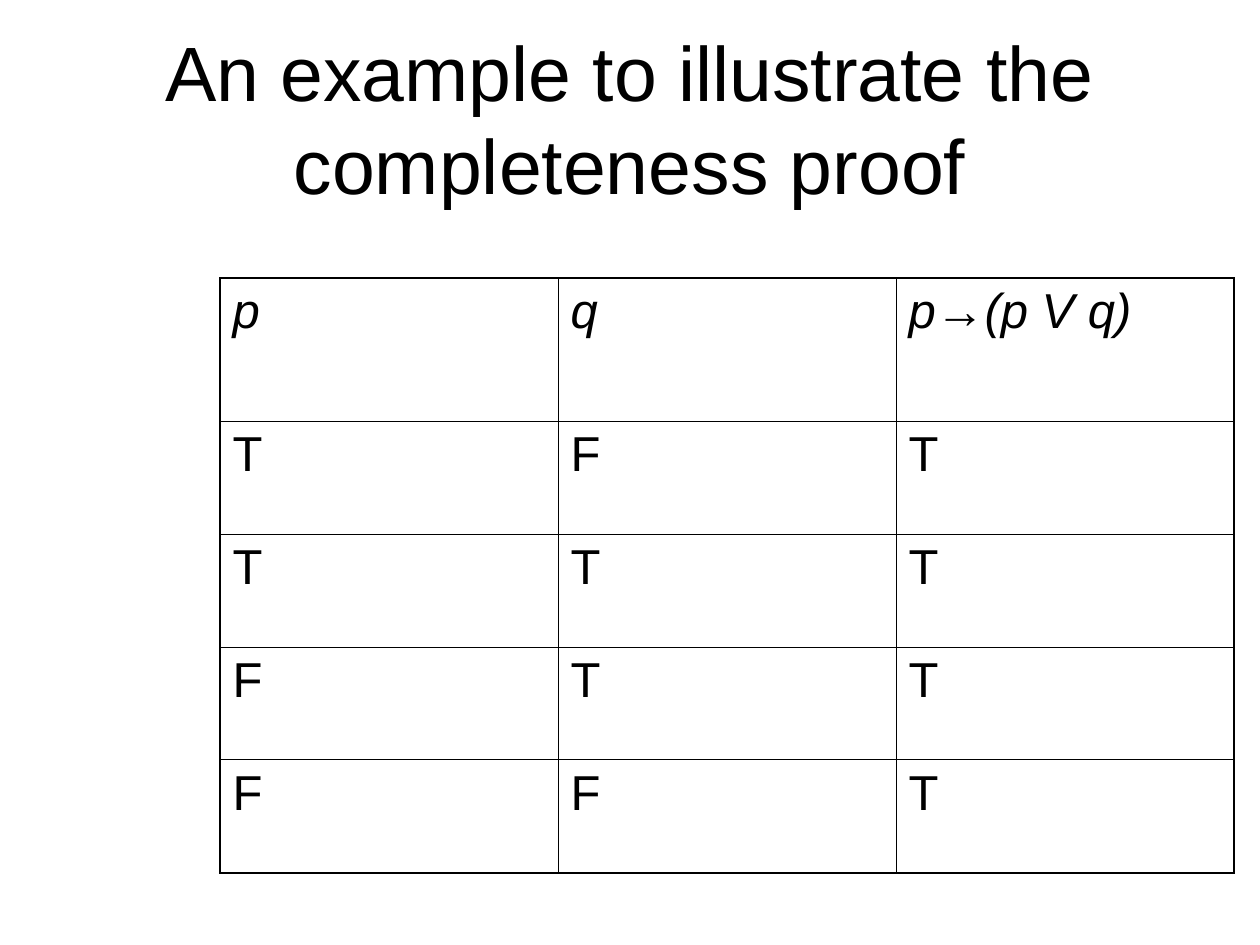
from pptx import Presentation
from pptx.dml.color import RGBColor
from pptx.enum.text import MSO_ANCHOR, PP_ALIGN
from pptx.oxml.ns import qn
from pptx.util import Emu, Pt
from lxml.etree import SubElement

# Content
TITLE = "An example to illustrate the completeness proof"
TRUTH_TABLE = [
    ("p", "q", "p→(p V q)"),
    ("T", "F", "T"),
    ("T", "T", "T"),
    ("F", "T", "T"),
    ("F", "F", "T"),
]

# Style and layout, in px
FONT = "Arial"
BLACK = RGBColor(0, 0, 0)
OUTER, INNER = Pt(1.08), Pt(0.45)
WIDTH, HEIGHT = 1260, 945
TITLE_BOX = (63, 38, 1134, 158)
TABLE_LEFT, TABLE_TOP = 220, 278
COL_W, HEAD_H, ROW_H = 338, 143, 113


def px(n):
    return Emu(round(n * 914400 / 126))


def add_run(p, text, size, italic=False):
    r = p.add_run()
    r.text = text
    r.font.name = FONT
    r.font.size = Pt(size)
    r.font.italic = italic
    r.font.color.rgb = BLACK


def set_borders(cell, widths):
    tcPr = cell._tc.get_or_add_tcPr()
    for side, width in zip(("lnL", "lnR", "lnT", "lnB"), widths):
        ln = SubElement(tcPr, qn(f"a:{side}"), w=str(int(width)))
        fill = SubElement(ln, qn("a:solidFill"))
        SubElement(fill, qn("a:srgbClr"), val=str(BLACK))


prs = Presentation()
prs.slide_width, prs.slide_height = px(WIDTH), px(HEIGHT)
slide = prs.slides.add_slide(prs.slide_layouts[6])

# Title
tf = slide.shapes.add_textbox(*map(px, TITLE_BOX)).text_frame
tf.word_wrap = True
tf.vertical_anchor = MSO_ANCHOR.MIDDLE
p = tf.paragraphs[0]
p.alignment = PP_ALIGN.CENTER
add_run(p, TITLE, 44)

# Truth table
n_rows, n_cols = len(TRUTH_TABLE), len(TRUTH_TABLE[0])
table = slide.shapes.add_table(
    n_rows, n_cols, px(TABLE_LEFT), px(TABLE_TOP),
    px(n_cols * COL_W), px(HEAD_H + (n_rows - 1) * ROW_H)).table
table.first_row = table.horz_banding = False
for col in table.columns:
    col.width = px(COL_W)

for i, values in enumerate(TRUTH_TABLE):
    table.rows[i].height = px(ROW_H if i else HEAD_H)
    for j, value in enumerate(values):
        cell = table.cell(i, j)
        edges = (j == 0, j == n_cols - 1, i == 0, i == n_rows - 1)
        set_borders(cell, [OUTER if edge else INNER for edge in edges])
        cell.fill.background()
        add_run(cell.text_frame.paragraphs[0], value, 28, italic=i == 0)

prs.save("out.pptx")
